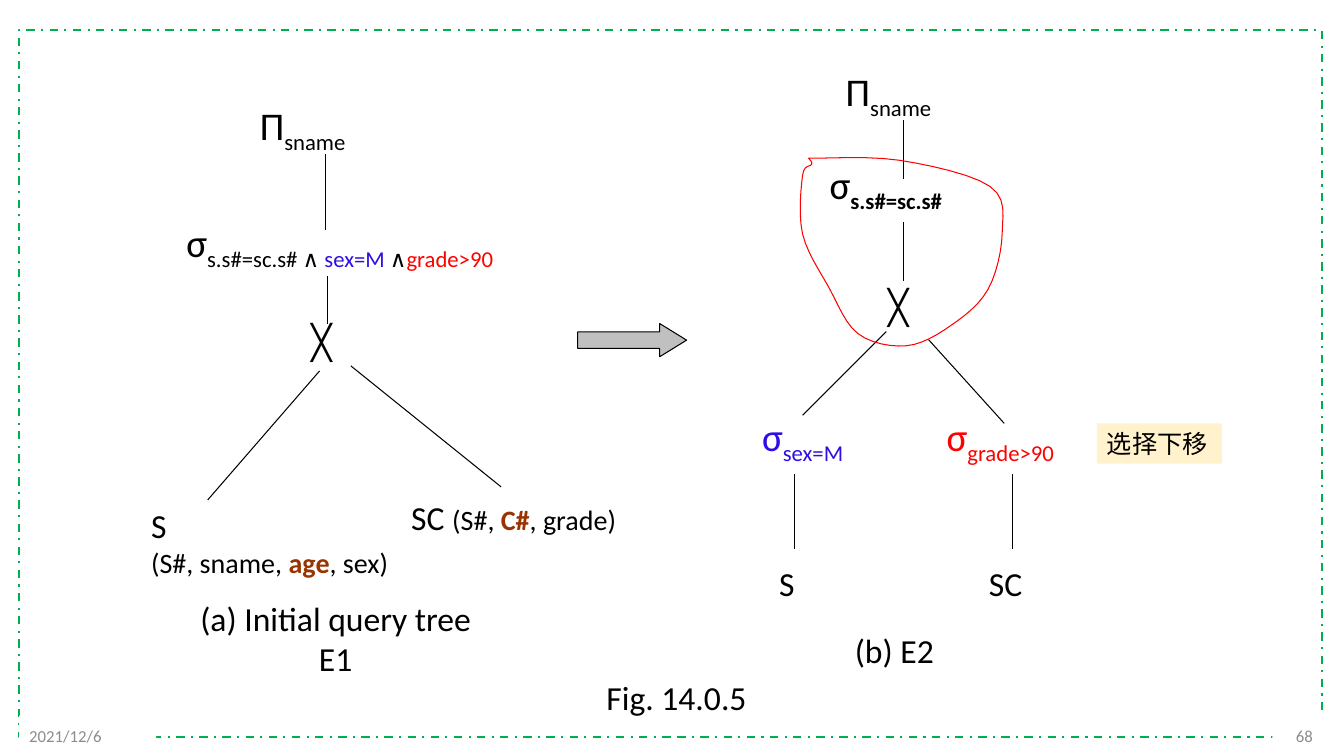
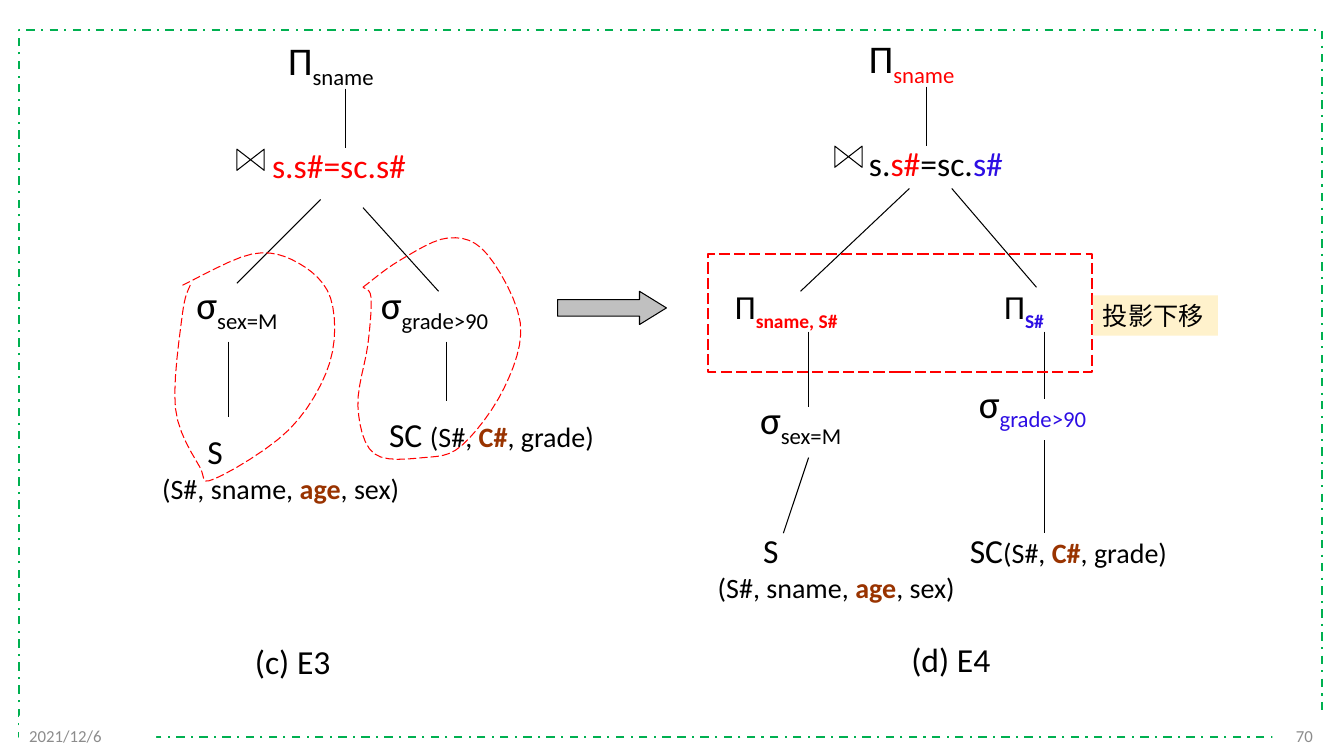
from lxml import etree
from pptx import Presentation
from pptx import util as u
from pptx.dml.color import RGBColor
from pptx.enum import dml, shapes, text
from pptx.oxml.ns import qn

COLOURS = {
    "ink": "000000", "red": "FF0000", "blue": "2D0EE4", "brown": "993300",
    "frame": "00B050", "footer": "8C8C8C", "arrow": "C0C0C0",
    "label": "FFF2CC", "paper": "FFFFFF",
}
SIZES = {"symbol": 28, "body": 24, "columns": 20, "note": 18, "small": 12}
LATIN, CHINESE = "Calibri", "Noto Sans CJK SC"
LEFT, CENTER, RIGHT = text.PP_ALIGN.LEFT, text.PP_ALIGN.CENTER, text.PP_ALIGN.RIGHT
TOP, MIDDLE = text.MSO_ANCHOR.TOP, text.MSO_ANCHOR.MIDDLE
LONG_DASH = dml.MSO_LINE.LONG_DASH


def style_shape(shape, fill=None, line=None, weight=0.75, dash=None):
    shape.shadow.inherit = False
    if fill:
        shape.fill.solid()
        shape.fill.fore_color.rgb = RGBColor.from_string(COLOURS[fill])
    else:
        shape.fill.background()
    if line:
        shape.line.color.rgb = RGBColor.from_string(COLOURS[line])
        shape.line.width = u.Pt(weight)
        shape.line.dash_style = dash
    else:
        shape.line.fill.background()


def add_text(slide, box, paragraphs, align=LEFT, fill=None, font=LATIN,
             anchor=TOP, indent=0):
    """Each run is (text, style); a style reads "size colour [bold] [sub]"."""
    shape = slide.shapes.add_textbox(*map(u.Inches, box))
    if fill:
        shape.fill.solid()
        shape.fill.fore_color.rgb = RGBColor.from_string(COLOURS[fill])
    frame = shape.text_frame
    frame.word_wrap = True
    frame.vertical_anchor = anchor
    for index, runs in enumerate(paragraphs):
        paragraph = frame.add_paragraph() if index else frame.paragraphs[0]
        paragraph.alignment = align
        if indent and not index:
            paragraph._p.get_or_add_pPr().set("marL", str(u.Inches(indent)))
        for words, style in runs:
            size, colour, *effects = style.split()
            run = paragraph.add_run()
            run.text = words
            run.font.size = u.Pt(SIZES[size])
            run.font.name = font
            run.font.color.rgb = RGBColor.from_string(COLOURS[colour])
            run.font.bold = "bold" in effects
            properties = run._r.get_or_add_rPr()
            etree.SubElement(properties, qn("a:ea")).set("typeface", font)
            if "sub" in effects:
                properties.set("baseline", "-25000")


# Wording used in several trees
SIGMA = ("σ", "symbol ink")
CROSS = [("╳", "body ink")]
SEX = [SIGMA, ("sex=M", "symbol ink sub")]
GRADE = [SIGMA, ("grade>90", "symbol ink sub")]
S_RELATION = [
    [("S", "body ink")],
    [("(S#, sname, ", "columns ink"), ("age", "columns brown bold"),
     (", sex)", "columns ink")],
]
SC_COLUMNS = [("(S#, ", "columns ink"), ("C#", "columns brown bold"),
              (", grade)", "columns ink")]
SC_RELATION = [("SC ", "body ink"), *SC_COLUMNS]

# roots: left, top, stem offset, stem length, colour
# selections: left, top of a sex/grade pair, grade stem length, both runs
# stems: x, top, bottom; branches: start and end
slides = [
    {
        "number": "68",
        "roots": [(2.48, 0.96, 0.75, 0.75, "ink"), (8.29, 0.62, 0.67, 0.59, "ink")],
        "selections": (
            7.46, 4.04, 0.75,
            [("σ", "symbol blue"), ("sex=M", "symbol blue sub")],
            [("σ", "symbol red"), ("grade>90", "symbol red sub")]),
        "stems": [(3.25, 2.74, 3.21), (8.96, 2.2, 2.79)],
        "branches": [(3.48, 3.63, 4.97, 4.83), (3.17, 3.68, 2.06, 4.96)],
        "nodes": [
            (1.75, 2.12, [
                SIGMA, ("s.s#=sc.s# ∧ ", "symbol ink sub"),
                ("sex=M", "symbol blue sub"), (" ∧", "symbol ink sub"),
                ("grade>90", "symbol red sub")]),
            (2.99, 3.13, CROSS),
            (3.98, 4.88, SC_RELATION),
            (8.13, 1.54, [SIGMA, ("s.s#=sc.s#", "symbol ink bold sub")]),
            (8.71, 2.79, CROSS),
            (7.63, 5.54, [("S", "body ink")]),
            (9.71, 5.54, [("SC", "body ink")]),
            (8.38, 6.2, [("(b) E2", "body ink")]),
        ],
        "s_relations": [(1.4, 4.96, 0)],
        "captions": [
            (1.83, 5.88, ["(a) Initial query tree", "E1"]),
            (5.21, 6.67, ["Fig. 14.0.5"]),
        ],
        "joins": [],
        "arrow": (5.73, 3.21),
        "label": (10.88, 4.2, "选择下移"),
        "box": None,
        "dash": None,
        "loops": [[
            (8.02, 1.57), (8.92, 1.59), (9.82, 1.85), (9.94, 2.31), (9.8, 2.87),
            (9.43, 3.23), (8.99, 3.43), (8.51, 3.31), (8.22, 2.85), (7.96, 2.32),
            (7.96, 1.74), (8.05, 1.63), (8.02, 1.57),
        ]],
    },
    {
        "number": "70",
        "roots": [(2.76, 0.31, 0.67, 0.59, "ink"), (8.52, 0.29, 0.67, 0.59, "red")],
        "selections": (1.85, 2.73, 0.59, SEX, GRADE),
        "stems": [(8.02, 3.29, 4.04), (10.36, 3.29, 3.96), (10.36, 4.37, 5.29)],
        "branches": [(9.02, 1.87, 7.94, 2.89), (9.44, 1.87, 10.28, 2.85),
                     (8.02, 4.54, 7.77, 5.29)],
        "nodes": [
            (2.6, 1.39, [("s.s#=sc.s#", "body red")]),
            (3.76, 4.06, SC_RELATION),
            (2.43, 6.31, [("(c) E3", "body ink")]),
            (8.52, 1.37, [("s.", "body ink"), ("s#", "body red"),
                          ("=sc.", "body ink"), ("s#", "body blue")]),
            (7.19, 2.79, [("Π", "body ink"), ("sname, S#", "body red bold sub")]),
            (9.86, 2.79, [("Π", "body ink"), ("S#", "body blue bold sub")]),
            (7.44, 3.87, SEX),
            (9.61, 3.71, [SIGMA, ("grade>90", "symbol blue sub")]),
            (9.52, 5.21, [("SC", "body ink"), *SC_COLUMNS]),
            (8.94, 6.29, [("(d) E4", "body ink")]),
        ],
        "s_relations": [(1.51, 4.23, 0.45), (7.02, 5.21, 0.45)],
        "captions": [],
        "joins": [(2.38, 1.45), (8.31, 1.42)],
        "arrow": (5.53, 2.89),
        "label": (10.84, 2.93, "投影下移"),
        "box": (7.02, 2.52, 3.81, 1.17),
        "dash": LONG_DASH,
        "loops": [
            [
                (1.81, 2.83), (2.5, 2.52), (2.96, 2.61), (3.28, 2.96), (3.27, 3.6),
                (2.87, 4.26), (2.13, 4.75), (1.98, 4.63), (1.74, 4.05),
                (1.81, 3.11), (1.89, 2.82),
            ],
            [
                (3.6, 2.85), (3.97, 2.58), (4.45, 2.36), (4.83, 2.52), (5.16, 3.2),
                (5, 3.85), (4.58, 4.42), (4.2, 4.54), (3.71, 4.5), (3.55, 4.03),
                (3.65, 3.41), (3.68, 2.95), (3.6, 2.85),
            ],
        ],
    },
]

presentation = Presentation()
presentation.slide_width = u.Inches(13.33)
presentation.slide_height = u.Inches(7.5)

for content in slides:
    slide = presentation.slides.add_slide(presentation.slide_layouts[6])

    # Frame, slide number and date
    frame = slide.shapes.add_shape(
        shapes.MSO_SHAPE.RECTANGLE, *map(u.Inches, (0.19, 0.3, 12.92, 7.01)))
    style_shape(frame, line="frame", weight=1.5, dash=dml.MSO_LINE.DASH_DOT)
    for left, width, words, align in [(12.62, 0.5, content["number"], RIGHT),
                                      (0.19, 1.36, "2021/12/6", LEFT)]:
        add_text(slide, (left, 7.1, width, 0.4), [[(words, "small footer")]],
                 align, "paper", anchor=MIDDLE)

    # Roots with their stems
    nodes = list(content["nodes"])
    edges = list(content["branches"])
    edges += [(x, top, x, bottom) for x, top, bottom in content["stems"]]
    for left, top, offset, length, colour in content["roots"]:
        nodes.append((left, top, [("Π", "symbol ink"),
                                  ("sname", f"symbol {colour} sub")]))
        edges.append((left + offset, top + 0.57, left + offset, top + 0.57 + length))

    # Pair of selections, with branches above and stems below
    left, top, grade_stem, sex, grade = content["selections"]
    nodes += [(left, top, sex), (left + 1.83, top, grade)]
    edges += [(left + 1.33, top - 0.75, left + 0.5, top + 0.08),
              (left + 1.75, top - 0.67, left + 2.5, top + 0.16)]
    for x, length in [(left + 0.42, 0.75), (left + 2.58, grade_stem)]:
        edges.append((x, top + 0.66, x, top + 0.66 + length))

    # Tree edges
    for edge in edges:
        connector = slide.shapes.add_connector(
            shapes.MSO_CONNECTOR.STRAIGHT, *map(u.Inches, edge))
        connector.line.color.rgb = RGBColor.from_string(COLOURS["ink"])
        connector.line.width = u.Pt(0.75)
        etree.SubElement(connector._element.spPr, qn("a:effectLst"))

    # Tree nodes, relations and captions
    for left, top, runs in nodes:
        width = 0.5 + 0.16 * sum(len(words) for words, style in runs)
        add_text(slide, (left, top, width, 0.5), [runs])
    for left, top, indent in content["s_relations"]:
        add_text(slide, (left, top, 2.8, 0.83), S_RELATION, indent=indent)
    for left, top, lines in content["captions"]:
        add_text(slide, (left, top, 3, 0.5),
                 [[(words, "body ink")] for words in lines], CENTER)

    # Join symbols
    for left, top in content["joins"]:
        join = slide.shapes.add_shape(
            shapes.MSO_SHAPE.FLOWCHART_COLLATE, *map(u.Inches, (left, top, 0.21, 0.27)))
        join.rotation = 90
        style_shape(join, line="ink")

    # Arrow between the trees
    arrow = slide.shapes.add_shape(
        shapes.MSO_SHAPE.RIGHT_ARROW, *map(u.Inches, (*content["arrow"], 1.08, 0.33)))
    arrow.adjustments[1] = 0.81
    style_shape(arrow, fill="arrow", line="ink")

    # Hand-drawn loops, smoothed with a Catmull-Rom spline
    for points in content["loops"]:
        padded = [points[0], *points, points[-1]]
        curve = []
        for corners in zip(padded, padded[1:], padded[2:], padded[3:]):
            for step in range(1, 7):
                t = step / 6
                curve.append([
                    u.Inches(q + t * (r - p) / 2
                             + t ** 2 * (2 * p - 5 * q + 4 * r - s) / 2
                             + t ** 3 * (3 * q - p - 3 * r + s) / 2)
                    for p, q, r, s in zip(*corners)])
        builder = slide.shapes.build_freeform(*map(u.Inches, points[0]))
        builder.add_line_segments(curve, close=points[0] == points[-1])
        style_shape(builder.convert_to_shape(), line="red", dash=content["dash"])

    # Highlight box and label
    if content["box"]:
        highlight = slide.shapes.add_shape(
            shapes.MSO_SHAPE.RECTANGLE, *map(u.Inches, content["box"]))
        style_shape(highlight, line="red", weight=1, dash=LONG_DASH)
    left, top, words = content["label"]
    add_text(slide, (left, top, 1.24, 0.4), [[(words, "note ink")]],
             fill="label", font=CHINESE)

presentation.save("out.pptx")
